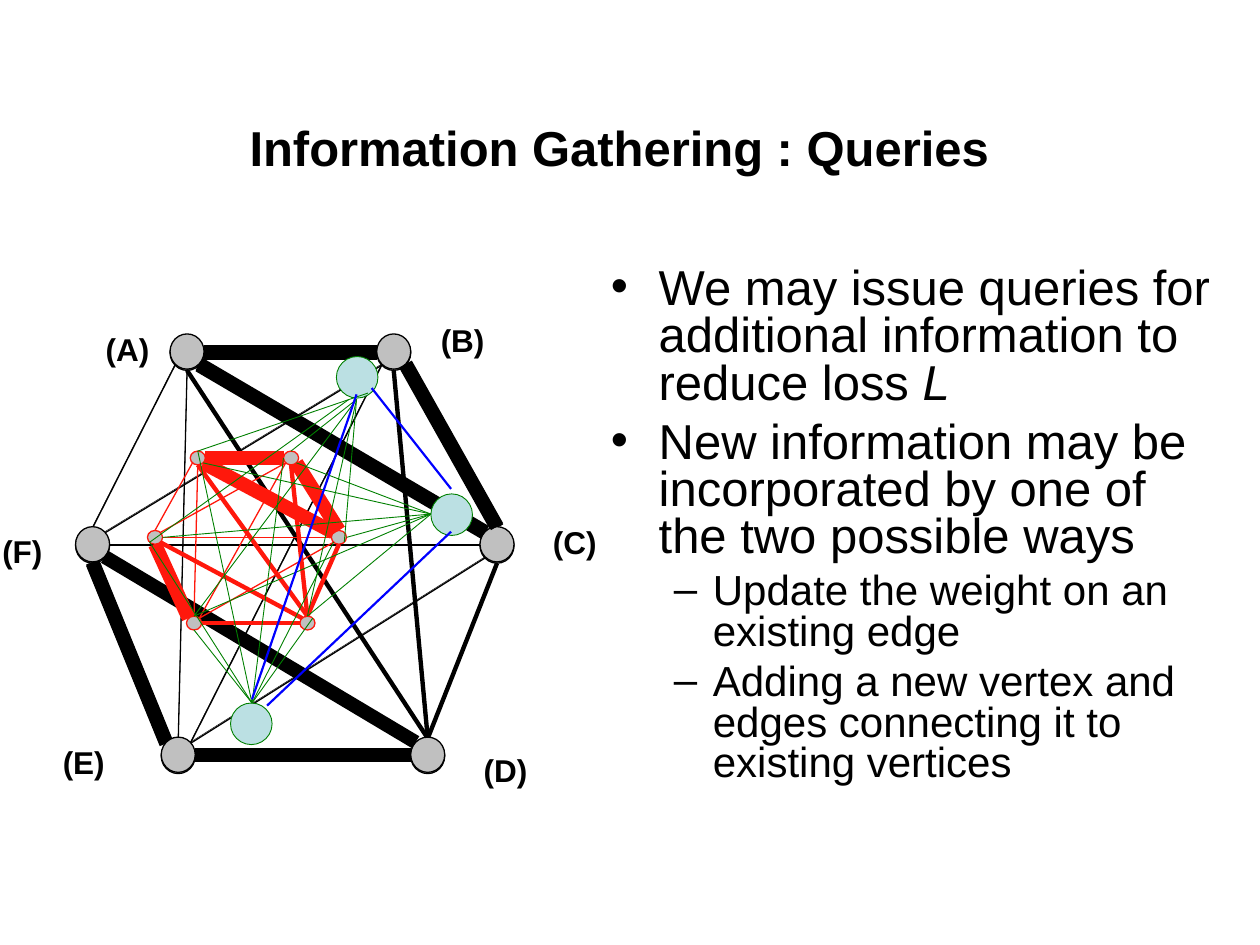
"""Build the slide on information-gathering queries over a weighted graph."""
from math import sqrt

from lxml.etree import SubElement
from pptx import Presentation
from pptx.dml.color import RGBColor
from pptx.enum.shapes import MSO_CONNECTOR as Link, MSO_SHAPE as Preset
from pptx.enum.text import MSO_ANCHOR as Anchor, MSO_AUTO_SIZE as Fit, PP_ALIGN as Align
from pptx.oxml.ns import qn
from pptx.util import Inches, Pt

COLUMNS, ROWS = 1000, 750
COLOURS = {"black": "000000", "white": "FFFFFF", "grey": "C0C0C0", "red": "FF180C",
           "pale": "BBE0E3", "green": "008000", "blue": "0000FF"}
FONT = "Arial"

TITLE = "Information Gathering : Queries"
BODY = [
    (0, [("We may issue queries for additional information to reduce loss ", False), ("L", True)]),
    (0, [("New information may be incorporated by one of the two possible ways", False)]),
    (1, [("Update the weight on an existing edge", False)]),
    (1, [("Adding a new vertex and edges connecting it to existing vertices", False)]),
]
LEVELS = [
    {"size": 28, "before": 7, "bullet": "•", "left": 0.38, "hang": 0.38},
    {"size": 24, "before": 6, "bullet": "–", "left": 0.81, "hang": 0.31},
]
LABELS = {"A": (74, 257), "B": (340, 250), "C": (429, 410),
          "D": (374, 591), "E": (40, 585), "F": (-8, 417)}

OUTER = {"A": (148.5, 280), "B": (312.5, 280), "C": (394.5, 433),
         "D": (339.5, 600), "E": (141.5, 600), "F": (73.5, 433)}
INNER = {"A": (157, 363.5), "B": (231, 363.5), "C": (269, 426.5),
         "D": (244, 494.5), "E": (154, 494.5), "F": (123, 426.5)}
QUERIES = {"bottom": (199.5, 574.5), "right": (358.5, 408.5), "top": (283.5, 299.5)}
STAGES = [
    ("Enw-Fs Fe-Cw Csw-Ene", "FECD"),
    ("Ee-Dw Cs-Dn Dnw-Fse", "BA"),
    ("Asw-Fn Ae-Bw Cn-Bse Ase-Cnw As-Dn As-En Bsw-Fne Bs-Dn Bsw-Ene", ""),
]
MIXED = [8, 1, 0.75, 2.5, 2.5, 2.5, 0.75, 8, 8, 8, 2.5, 0.75, 0.75, 2.5, 0.75]
STARK = [8, 0.25, 0.25, 8, 0.25, 8, 0.25, 8, 8, 8, 0.25, 0.25, 0.25, 0.25, 0.25]
GRAPHS = [
    {"nodes": OUTER, "radii": (13.5, 14), "shift": 0, "weights": MIXED, "shade": "black"},
    {"nodes": OUTER, "radii": (13.5, 14), "shift": -1, "weights": STARK, "shade": "black"},
    {"nodes": INNER, "radii": (6, 5.5), "shift": 0, "weights": MIXED, "shade": "red"},
]
FANS = [((283, 317), "Bn Cse En Dn"), ((292, 312), "An"), ((277, 317), "Fsw"),
        ((342, 408), "Ase Bse Fe Ce En Dn"), ((200, 558), "Fsw Es An Bw Csw Dne")]
QUERY_EDGES = [((295, 308), (358, 388)), ((358, 422), (212, 560)), ((283, 313), (200, 555))]

deck = Presentation()
deck.slide_width, deck.slide_height = Inches(10), Inches(7.5)
page = deck.slides.add_slide(deck.slide_layouts[6])


def colour(name):
    return RGBColor.from_string(COLOURS[name])


def place(*cells):
    sides = (deck.slide_width / COLUMNS, deck.slide_height / ROWS)
    return [round(cell * sides[index % 2]) for index, cell in enumerate(cells)]


def site(nodes, radii, name):
    (x, y), side = nodes[name[0]], name[1:]
    across = ("e" in side) - ("w" in side)
    down = ("s" in side) - ("n" in side)
    reach = sqrt(len(side))
    return x + across * radii[0] / reach, y + down * radii[1] / reach


def add_edge(shapes, start, end, shade, width):
    edge = shapes.add_connector(Link.STRAIGHT, *place(*start, *end))
    edge.line.color.rgb = colour(shade)
    edge.line.width = Pt(width)
    SubElement(edge._element.spPr, qn("a:effectLst"))


def add_node(shapes, centre, radii, fill, outline, width):
    (x, y), (rx, ry) = centre, radii
    node = shapes.add_shape(Preset.OVAL, *place(x - rx, y - ry, 2 * rx, 2 * ry))
    node.shadow.inherit = False
    node.fill.solid()
    node.fill.fore_color.rgb = colour(fill)
    node.line.color.rgb = colour(outline)
    node.line.width = Pt(width)


def add_span(para, text, size, bold=False, italic=False):
    span = para.add_run()
    span.text = text
    span.font.name, span.font.size = FONT, Pt(size)
    span.font.bold, span.font.italic = bold, italic
    span.font.color.rgb = colour("black")


def add_box(*cells, wrap=True):
    box = page.shapes.add_textbox(*place(*cells))
    box.text_frame.word_wrap = wrap
    return box


def add_body():
    frame = add_box(475, 208, 500, 450).text_frame
    for index, (depth, spans) in enumerate(BODY):
        level = LEVELS[depth]
        para = frame.add_paragraph() if index else frame.paragraphs[0]
        para.level, para.line_spacing = depth, 0.8
        para.space_before = Pt(level["before"] if index else 0)
        props = para._p.get_or_add_pPr()
        props.set("marL", str(Inches(level["left"])))
        props.set("indent", str(-Inches(level["hang"])))
        SubElement(props, qn("a:buFont"), typeface=FONT)
        SubElement(props, qn("a:buChar"), char=level["bullet"])
        for text, italic in spans:
            add_span(para, text, level["size"], italic=italic)


def add_title():
    frame = add_box(75, 67, 833, 100).text_frame
    frame.vertical_anchor = Anchor.MIDDLE
    frame.paragraphs[0].alignment = Align.CENTER
    add_span(frame.paragraphs[0], TITLE, 28, bold=True)


def add_labels():
    for letter, corner in LABELS.items():
        box = add_box(*corner, 56, 40, wrap=False)
        box.text_frame.auto_size = Fit.SHAPE_TO_FIT_TEXT
        box.fill.solid()
        box.fill.fore_color.rgb = colour("white")
        add_span(box.text_frame.paragraphs[0], f"({letter})", 18, bold=True)


def add_graph(nodes, radii, shift, weights, shade):
    shapes = page.shapes.add_group_shape().shapes
    centres = {name: (x, y + shift) for name, (x, y) in nodes.items()}
    widths = iter(weights)
    for edges, letters in STAGES:
        for edge in edges.split():
            start, end = [site(centres, radii, name) for name in edge.split("-")]
            add_edge(shapes, start, end, shade, next(widths))
        for letter in letters:
            add_node(shapes, centres[letter], radii, "grey", shade, 0.75)


def add_queries():
    shapes = page.shapes.add_group_shape().shapes
    for centre in QUERIES.values():
        add_node(shapes, centre, (16.5, 16.5), "pale", "green", 0.5)
    for start, ends in FANS:
        for name in ends.split():
            add_edge(shapes, start, site(INNER, (6, 5.5), name), "green", 0.5)
    for start, end in QUERY_EDGES:
        add_edge(shapes, start, end, "blue", 1.25)


add_body()
add_title()
add_labels()
for graph in GRAPHS:
    add_graph(**graph)
add_queries()
deck.save("out.pptx")
